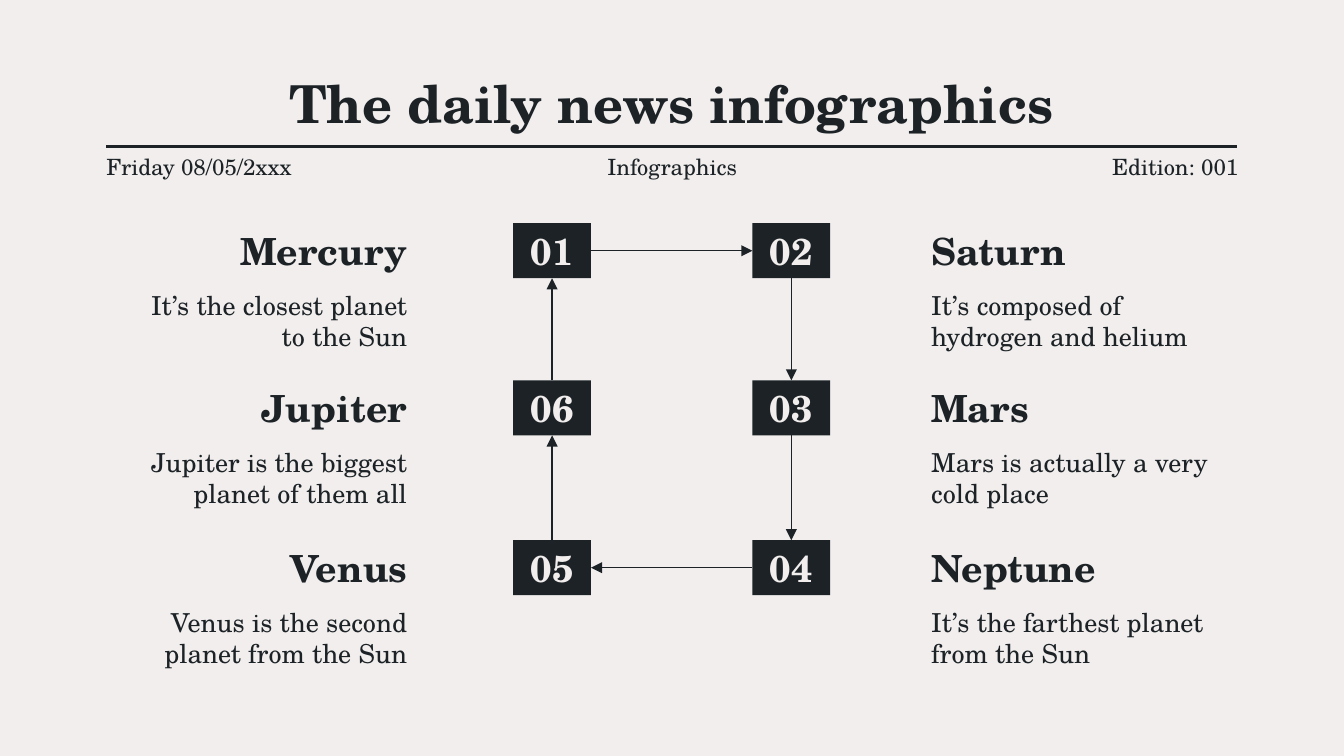
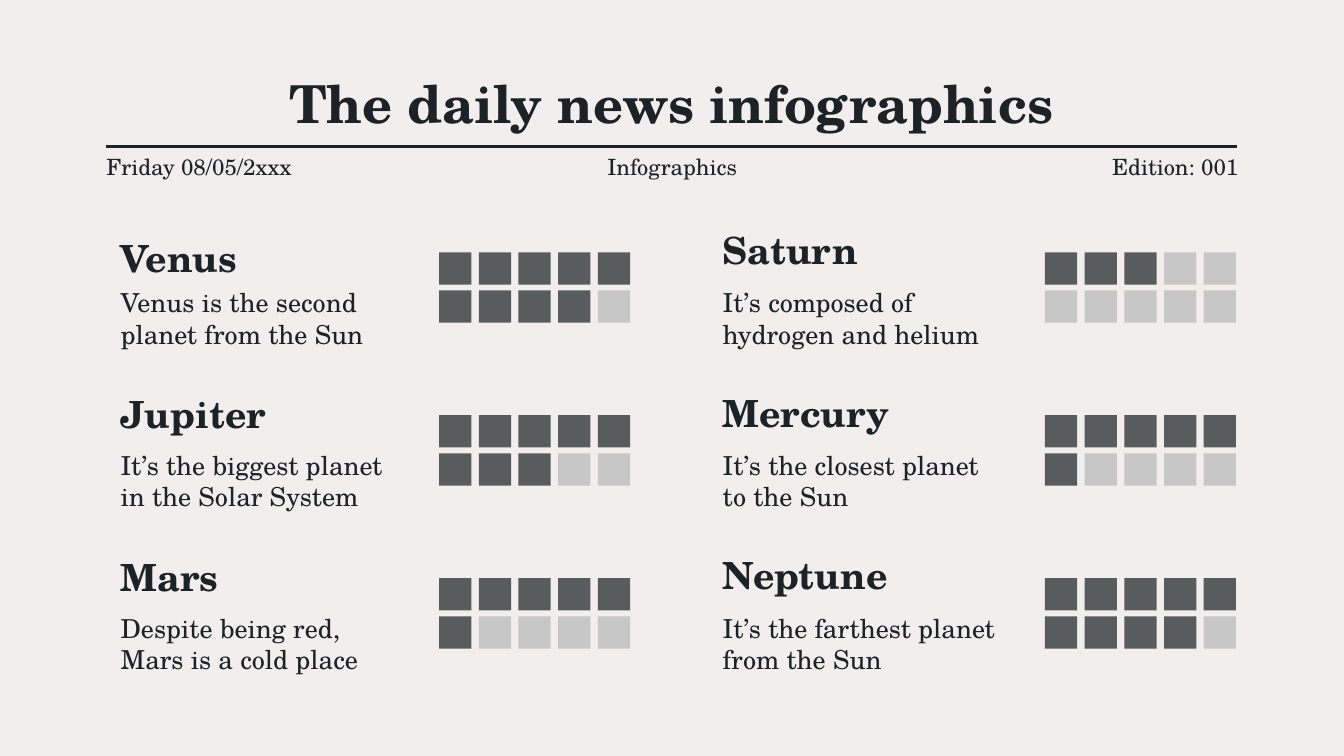
"""Build two newspaper-style planet infographic slides."""
import pptx
import pptx.dml.color
import pptx.enum.shapes
import pptx.enum.text
import pptx.oxml
import pptx.oxml.ns
import pptx.util

Cm = pptx.util.Cm
Pt = pptx.util.Pt
PP_ALIGN = pptx.enum.text.PP_ALIGN
ANCHOR = pptx.enum.text.MSO_ANCHOR
RECT = pptx.enum.shapes.MSO_SHAPE.RECTANGLE
STRAIGHT = pptx.enum.shapes.MSO_CONNECTOR.STRAIGHT

FONT = "TeX Gyre Schola"
INK, PAPER = "1C2226", "F1EEED"
FULL, EMPTY = "595C5C", "C7C7C7"
LEFT, CENTER, RIGHT = PP_ALIGN.LEFT, PP_ALIGN.CENTER, PP_ALIGN.RIGHT


def paint(fmt, color):
    """Give a fill or a font a solid colour."""
    if hasattr(fmt, "solid"):
        fmt.solid()
        fmt = fmt.fore_color
    else:
        fmt = fmt.color
    fmt.rgb = pptx.dml.color.RGBColor.from_string(color)


def write(sp, text, size, align=LEFT, bold=False, color=INK, margin=0.25):
    """Put one formatted paragraph into a shape."""
    tf = sp.text_frame
    tf.text = text
    tf.word_wrap = True
    tf.auto_size = pptx.enum.text.MSO_AUTO_SIZE.NONE
    tf.vertical_anchor = ANCHOR.MIDDLE
    tf.margin_left = tf.margin_right = Cm(margin)
    tf.margin_top = tf.margin_bottom = Cm(margin)
    p = tf.paragraphs[0]
    p.alignment = align
    font = p.runs[0].font
    font.name, font.size, font.bold = FONT, Pt(size), bold
    paint(font, color)


prs = pptx.Presentation()
prs.slide_width, prs.slide_height = Cm(25.4), Cm(14.29)
paint(prs.slide_master.background.fill, PAPER)

header = [
    ("Friday 08/05/2xxx", 2.01, LEFT),
    ("Infographics", 10.56, CENTER),
    ("Edition: 001", 19.12, RIGHT),
]
for _ in range(2):
    s = prs.slides.add_slide(prs.slide_layouts[5])
    title = s.shapes.title
    title.left, title.top, title.width, title.height = Cm(2.03), Cm(1.35), Cm(21.31), Cm(1.17)
    write(title, "The daily news infographics", 28, CENTER, bold=True)
    rule = s.shapes.add_connector(STRAIGHT, Cm(2.01), Cm(2.77), Cm(23.37), Cm(2.77))
    rule.line.width = Pt(1.5)
    for text, x, align in header:
        sp = s.shapes.add_textbox(Cm(x), Cm(2.9), Cm(4.29), Cm(0.48))
        write(sp, text, 12, align, margin=0)

cycle, ratings = prs.slides

row_tops = [4.22, 7.19, 10.21]
columns = [
    (2.03, RIGHT, [
        ("Mercury", "It’s the closest planet to the Sun"),
        ("Jupiter", "Jupiter is the biggest planet of them all"),
        ("Venus", "Venus is the second planet from the Sun"),
    ]),
    (17.35, LEFT, [
        ("Saturn", "It’s composed of hydrogen and helium"),
        ("Mars", "Mars is actually a very cold place"),
        ("Neptune", "It’s the farthest planet from the Sun"),
    ]),
]
for x, align, planets in columns:
    for y, (name, fact) in zip(row_tops, planets):
        sp = cycle.shapes.add_textbox(Cm(x), Cm(y), Cm(5.92), Cm(1.04))
        write(sp, name, 20, align, bold=True)
        sp = cycle.shapes.add_textbox(Cm(x), Cm(y + 1.19), Cm(5.92), Cm(1.3))
        write(sp, fact, 14, align)

clockwise = [(0, 0), (1, 0), (1, 1), (1, 2), (0, 2), (0, 1)]
steps = []
for number, (col, row) in enumerate(clockwise, 1):
    sp = cycle.shapes.add_shape(RECT, Cm(9.7 + 4.52 * col), Cm(row_tops[row]), Cm(1.47), Cm(1.04))
    sp.shadow.inherit = False
    sp.line.fill.background()
    paint(sp.fill, INK)
    write(sp, f"{number:02d}", 20, CENTER, bold=True, color=PAPER)
    steps.append(sp)

TOP_SITE, LEFT_SITE, BOTTOM_SITE, RIGHT_SITE = range(4)
exits = [RIGHT_SITE, BOTTOM_SITE, BOTTOM_SITE, LEFT_SITE, TOP_SITE, TOP_SITE]
arrows = []
for i, site in enumerate(exits):
    arrow = cycle.shapes.add_connector(STRAIGHT, 0, 0, 0, 0)
    arrow.begin_connect(steps[i], site)
    arrow.end_connect(steps[(i + 1) % 6], (site + 2) % 4)
    arrow.line.width = Pt(0.75)
    arrows.append(arrow)

scores = [
    (2.03, 8.3, 5.97, 1.09, [
        ("Venus", "Venus is the second planet from the Sun", 9),
        ("Jupiter", "It’s the biggest planet in the Solar System", 8),
        ("Mars", "Despite being red, Mars is a cold place", 6),
    ]),
    (13.41, 19.75, 5.92, 1.04, [
        ("Saturn", "It’s composed of hydrogen and helium", 3),
        ("Mercury", "It’s the closest planet to the Sun", 6),
        ("Neptune", "It’s the farthest planet from the Sun", 9),
    ]),
]
for x, grid_x, width, name_height, planets in scores:
    for row, (name, fact, score) in enumerate(planets):
        y = 4.19 + 3.08 * row
        sp = ratings.shapes.add_textbox(Cm(x), Cm(y), Cm(width), Cm(name_height))
        write(sp, name, 20, bold=True)
        if name == "Venus":
            sp.text_frame.vertical_anchor = ANCHOR.TOP
        sp = ratings.shapes.add_textbox(Cm(x), Cm(y + 1.17), Cm(width), Cm(1.3))
        write(sp, fact, 14)
        for i in range(10):
            left, top = grid_x + 0.75 * (i % 5), y + 0.58 + 0.72 * (i // 5)
            sp = ratings.shapes.add_shape(RECT, Cm(left), Cm(top), Cm(0.61), Cm(0.61))
            sp.shadow.inherit = False
            sp.line.fill.background()
            paint(sp.fill, FULL if i < score else EMPTY)

for s in prs.slides:
    for sp in s.shapes:
        if sp.shape_type == pptx.enum.shapes.MSO_SHAPE_TYPE.LINE:
            paint(sp.line.fill, INK)
            sp._element.spPr.append(pptx.oxml.parse_xml(
                f'<a:effectLst {pptx.oxml.ns.nsdecls("a")}/>'))
for arrow in arrows:
    arrow.line._get_or_add_ln().append(pptx.oxml.parse_xml(
        f'<a:tailEnd {pptx.oxml.ns.nsdecls("a")} type="triangle"/>'))

prs.save("out.pptx")
